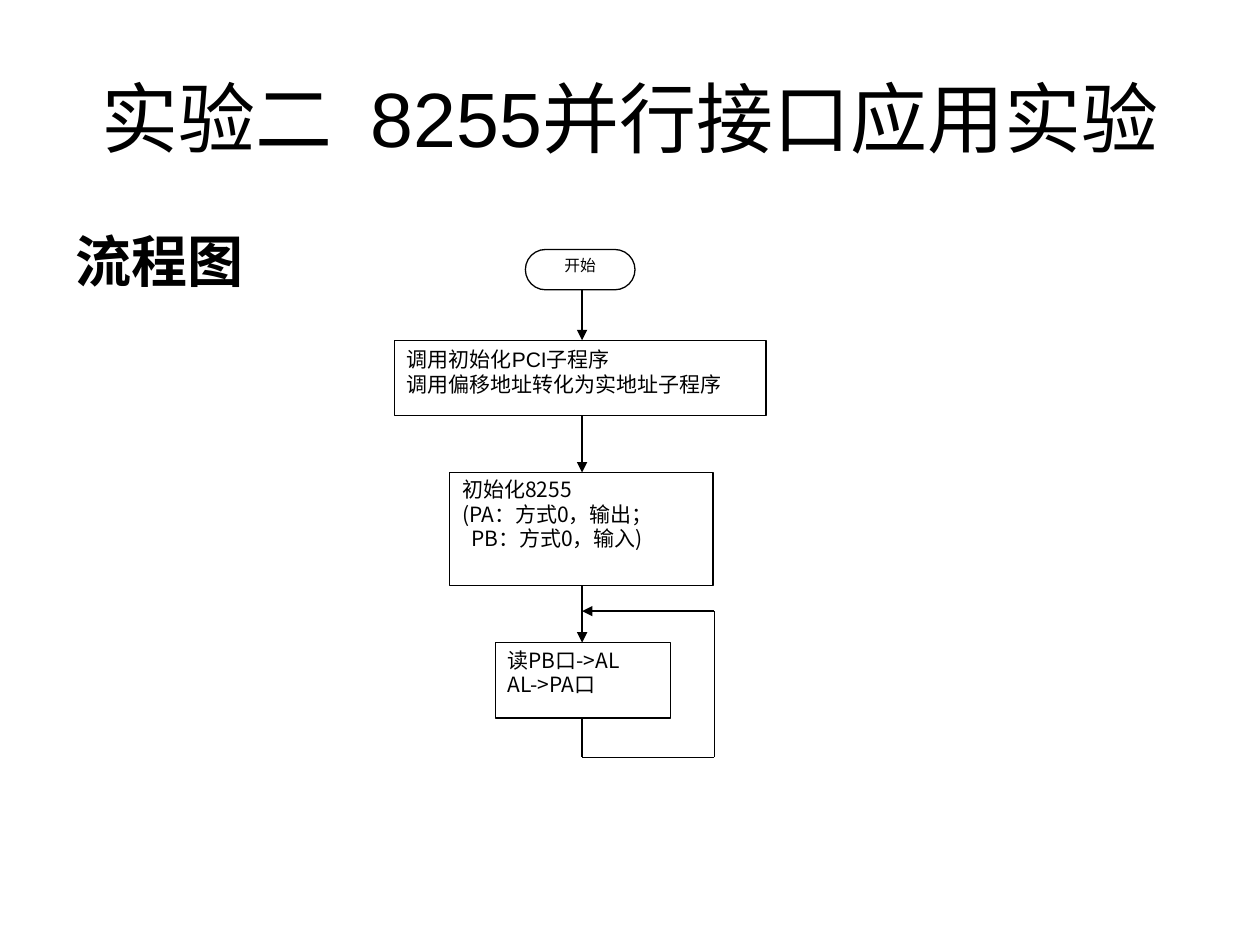
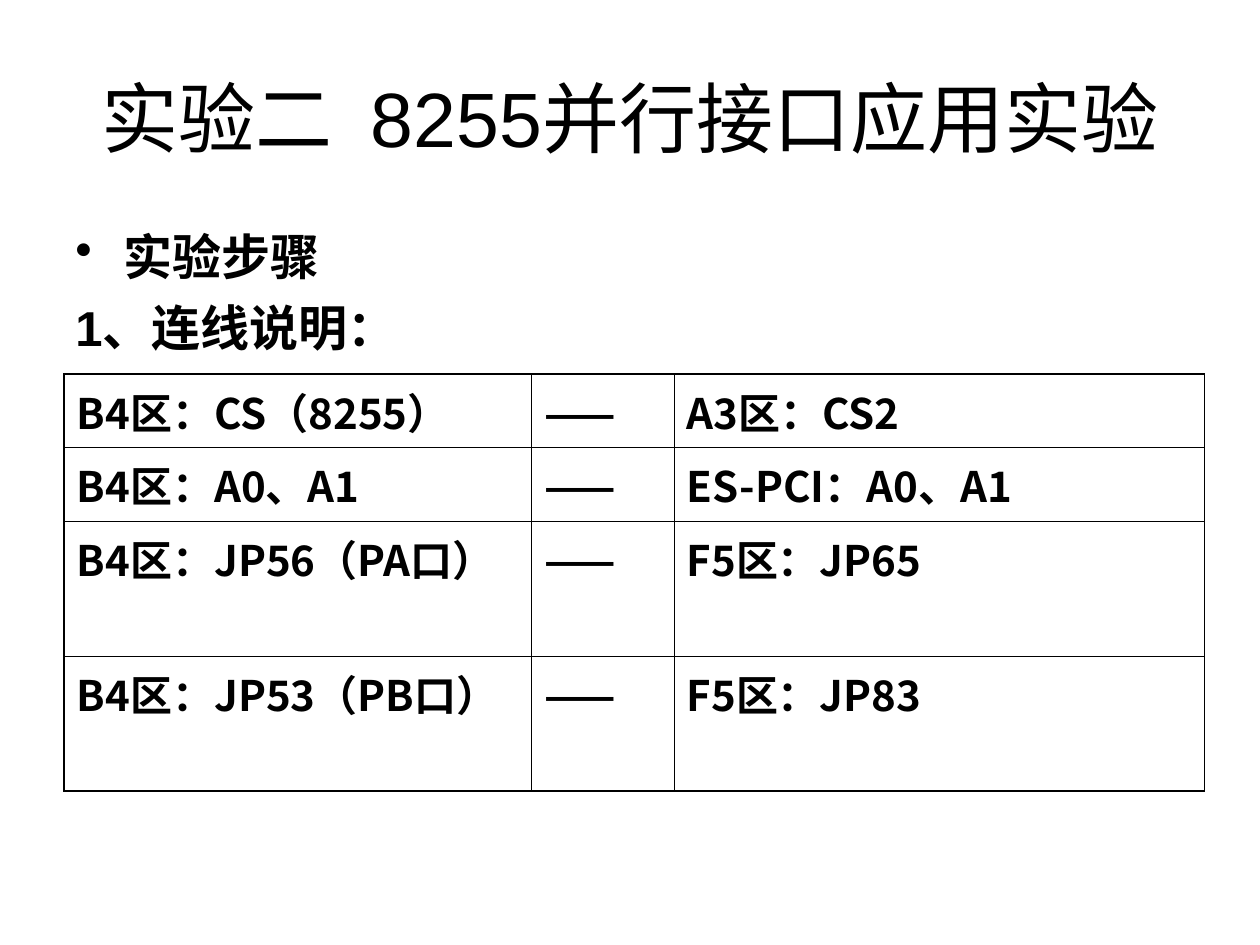
from dataclasses import dataclass
from lxml.etree import SubElement
from pptx import Presentation
from pptx.dml.color import RGBColor
from pptx.enum.lang import MSO_LANGUAGE_ID
from pptx.enum.shapes import MSO_CONNECTOR, MSO_SHAPE
from pptx.enum.text import MSO_ANCHOR, MSO_AUTO_SIZE, PP_ALIGN
from pptx.oxml.ns import qn
from pptx.util import Inches, Pt


@dataclass(frozen=True)
class Theme:
    ink: RGBColor = RGBColor(0, 0, 0)
    paper: RGBColor = RGBColor(255, 255, 255)
    sans: str = "Arial"
    serif: str = "Times New Roman"
    cjk: str = "Noto Sans CJK SC"
    title: int = 44
    heading: int = 32
    body: int = 28
    table: int = 24
    step: int = 12
    terminal: int = 9
    line: float = 0.75
    outer_border: float = 1.08
    inner_border: float = 0.45


TITLE = ["实验二", " ", "8255并行接口应用实验"]
TITLE_GAP = 12  # points added after the space in the title


def set_values(obj, values):
    for name, value in values.items():
        setattr(obj, name, value)


class Deck:
    def __init__(self, theme):
        self.theme = theme
        self.prs = Presentation()
        set_values(self.prs, {"slide_width": Inches(10), "slide_height": Inches(7.5)})
        self.s = None

    # Text
    def run(self, p, text, size, font, bold=False):
        r = p.add_run()
        r.text = text
        set_values(r.font, {"size": Pt(size), "name": font, "bold": bold,
                            "language_id": MSO_LANGUAGE_ID.SIMPLIFIED_CHINESE})
        r.font.color.rgb = self.theme.ink
        SubElement(r.font._element, qn("a:ea"), typeface=self.theme.cjk)
        return r

    def frame(self, tf, margins=(0.1, 0.05), anchor=MSO_ANCHOR.TOP):
        side, end = map(Inches, margins)
        set_values(tf, {"word_wrap": True, "auto_size": MSO_AUTO_SIZE.NONE,
                        "vertical_anchor": anchor,
                        "margin_left": side, "margin_right": side,
                        "margin_top": end, "margin_bottom": end})

    def lines(self, tf, texts, size, font, bold=False, **values):
        for i, text in enumerate(texts):
            p = tf.paragraphs[0] if i == 0 else tf.add_paragraph()
            set_values(p, values)
            if i == 0:
                p.space_before = Pt(0)
            self.run(p, text, size, font, bold)

    def indent(self, p, left, first=0, bullet=None):
        pPr = p._p.get_or_add_pPr()
        pPr.set("marL", str(Inches(left)))
        pPr.set("indent", str(Inches(first)))
        if bullet:
            SubElement(pPr, qn("a:buChar"), char=bullet)

    # Slide with its title
    def slide(self):
        self.s = self.prs.slides.add_slide(self.prs.slide_layouts[5])
        sp = self.s.shapes.title
        set_values(sp, {"left": Inches(0.5), "top": Inches(0.3),
                        "width": Inches(9), "height": Inches(1.25)})
        self.frame(sp.text_frame, anchor=MSO_ANCHOR.MIDDLE)
        p = sp.text_frame.paragraphs[0]
        p.alignment = PP_ALIGN.CENTER
        for text in TITLE:
            r = self.run(p, text, self.theme.title, self.theme.sans)
            if text == " ":
                r.font._element.set("spc", str(TITLE_GAP * 100))

    def body(self, texts, width, size, **values):
        sp = self.s.shapes.add_textbox(Inches(0.5), Inches(1.75), Inches(width), Inches(4.95))
        self.frame(sp.text_frame)
        self.lines(sp.text_frame, texts, size, self.theme.sans, True, **values)
        return sp.text_frame

    # Flowchart elements
    def box(self, x, y, w, h, texts, size, font, kind=MSO_SHAPE.RECTANGLE,
            margins=(0.1, 0.05), **values):
        sp = self.s.shapes.add_shape(kind, Inches(x), Inches(y), Inches(w), Inches(h))
        sp.shadow.inherit = False
        sp.fill.solid()
        sp.fill.fore_color.rgb = self.theme.paper
        sp.line.color.rgb = self.theme.ink
        sp.line.width = Pt(self.theme.line)
        self.frame(sp.text_frame, margins)
        self.lines(sp.text_frame, texts, size, font, **values)
        return sp

    def line(self, start, end, arrow=False):
        c = self.s.shapes.add_connector(MSO_CONNECTOR.STRAIGHT, *map(Inches, start + end))
        c.line.color.rgb = self.theme.ink
        c.line.width = Pt(self.theme.line)
        if arrow:
            SubElement(c.line._get_or_add_ln(), qn("a:tailEnd"), type="triangle")
        SubElement(c._element.spPr, qn("a:effectLst"))

    # Table
    def border(self, cell, side, width):
        ln = SubElement(cell._tc.get_or_add_tcPr(), qn("a:ln" + side), w=str(Pt(width)))
        fill = SubElement(ln, qn("a:solidFill"))
        SubElement(fill, qn("a:srgbClr"), val=str(self.theme.ink))

    def table(self, x, y, widths, heights, rows):
        t = self.theme
        table = self.s.shapes.add_table(
            len(rows), len(widths), Inches(x), Inches(y),
            Inches(sum(widths)), Inches(sum(heights))).table
        set_values(table, {"first_row": False, "horz_banding": False})
        for col, width in zip(table.columns, widths):
            col.width = Inches(width)
        for i, (row, height) in enumerate(zip(rows, heights)):
            table.rows[i].height = Inches(height)
            for j, text in enumerate(row):
                cell = table.cell(i, j)
                edges = {"L": j == 0, "R": j == len(widths) - 1,
                         "T": i == 0, "B": i == len(rows) - 1}
                for side, outer in edges.items():
                    self.border(cell, side, t.outer_border if outer else t.inner_border)
                cell.fill.solid()
                cell.fill.fore_color.rgb = t.paper
                self.lines(cell.text_frame, [text], t.table, t.cjk, True)


def flowchart_slide(deck):
    t = deck.theme
    deck.slide()
    deck.body(["流程图"], 9, t.heading)

    # Steps
    justified = {"alignment": PP_ALIGN.JUSTIFY, "line_spacing": 0.96}
    start = deck.box(4.17, 1.98, 0.87, 0.32, ["开始"], t.terminal, t.serif,
                     MSO_SHAPE.ROUNDED_RECTANGLE, (0, 0), alignment=PP_ALIGN.CENTER)
    start.adjustments[0] = 0.5
    deck.box(3.13, 2.7, 2.95, 0.6, ["调用初始化PCI子程序", "调用偏移地址转化为实地址子程序"],
             t.step, t.sans, alignment=PP_ALIGN.LEFT)
    setup = deck.box(3.57, 3.75, 2.09, 0.9,
                     ["初始化8255", "(PA：方式0，输出；", "PB：方式0，输入)"],
                     t.step, t.cjk, **justified)
    deck.indent(setup.text_frame.paragraphs[2], 0.07)
    deck.box(3.93, 5.1, 1.39, 0.6, ["读PB口->AL", "AL->PA口"], t.step, t.cjk, **justified)

    # Arrows between the steps
    axis = 4.62
    for top, bottom in [(2.3, 2.7), (3.3, 3.75), (4.65, 5.1)]:
        deck.line((axis, top), (axis, bottom), arrow=True)

    # Loop back to the read step
    loop = [(axis, 5.7), (axis, 6.01), (5.67, 6.01), (5.67, 4.85), (axis, 4.85)]
    for a, b in zip(loop, loop[1:]):
        deck.line(a, b, arrow=b == loop[-1])


def wiring_slide(deck):
    deck.slide()
    tf = deck.body(["实验步骤", "1、连线说明："], 4.42, deck.theme.body, space_before=Pt(7))
    deck.indent(tf.paragraphs[0], 0.38, -0.38, "•")
    wires = [("B4区：CS（8255）", "A3区：CS2"),
             ("B4区：A0、A1", "ES-PCI：A0、A1"),
             ("B4区：JP56（PA口）", "F5区：JP65"),
             ("B4区：JP53（PB口）", "F5区：JP83")]
    deck.table(0.51, 2.97, [3.71, 1.13, 4.21], [0.58, 0.58, 1.07, 1.07],
               [(a, "——", b) for a, b in wires])


def main():
    deck = Deck(Theme())
    flowchart_slide(deck)
    wiring_slide(deck)
    deck.prs.save("out.pptx")


if __name__ == "__main__":
    main()
